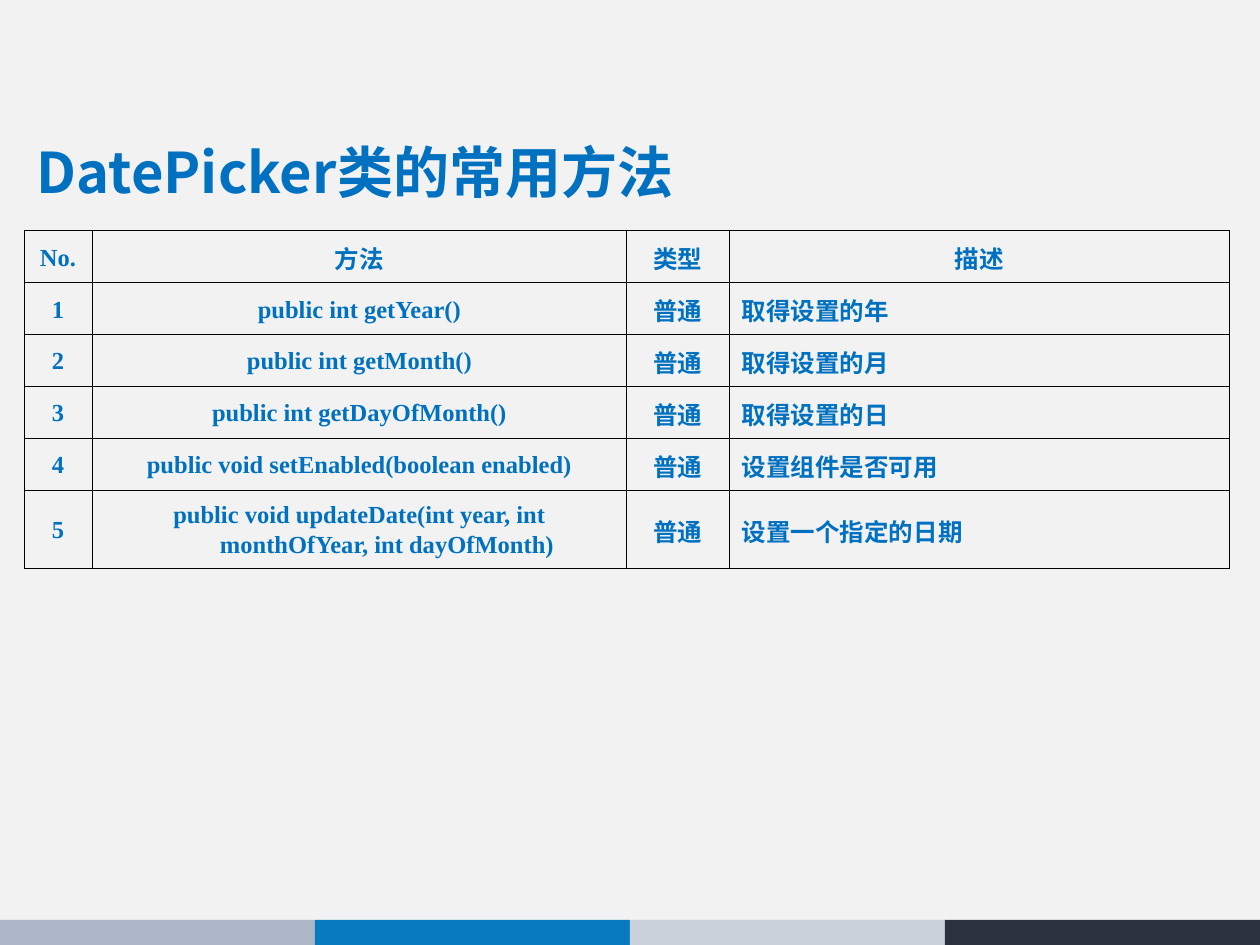
from lxml import etree
from pptx import Presentation
from pptx import util as u
from pptx.dml.color import RGBColor
from pptx.enum import shapes, text
from pptx.oxml.ns import qn

BLUE = RGBColor(0x00, 0x70, 0xC0)
BLACK = RGBColor(0x00, 0x00, 0x00)
PAPER = RGBColor(0xF2, 0xF2, 0xF2)
BAR_COLORS = [
    RGBColor(0xAD, 0xB6, 0xC7),
    RGBColor(0x08, 0x7A, 0xC0),
    RGBColor(0xCB, 0xD1, 0xDB),
    RGBColor(0x2A, 0x32, 0x3E),
]
SANS = "Noto Sans CJK SC"
SERIF = "Times New Roman"
CENTER = text.PP_ALIGN.CENTER
LEFT = text.PP_ALIGN.LEFT
JUSTIFY = text.PP_ALIGN.JUSTIFY

COLUMN_WIDTHS = [39, 305.5, 58.5, 286]
ROW_HEIGHTS = [26] * 5 + [44.6]
HEADER = ["No.", "方法", "类型", "描述"]
METHODS = [
    ("public int getYear()", "取得设置的年"),
    ("public int getMonth()", "取得设置的月"),
    ("public int getDayOfMonth()", "取得设置的日"),
    ("public void setEnabled(boolean enabled)", "设置组件是否可用"),
    ("public void updateDate(int year, int monthOfYear, int dayOfMonth)",
     "设置一个指定的日期"),
]


def write(frame, words, size, font, align, spacing, before=0, hanging=0):
    """Fill a text frame with one bold blue paragraph."""
    para = frame.paragraphs[0]
    para.alignment = align
    para.line_spacing = spacing
    para.space_before = u.Pt(before)
    properties = para._p.get_or_add_pPr()
    properties.set("marL", str(u.Pt(hanging)))
    properties.set("indent", str(-u.Pt(hanging)))
    span = para.add_run()
    span.text = words
    span.font.size = u.Pt(size)
    span.font.name = font
    span.font.bold = True
    span.font.color.rgb = BLUE
    east_asian = etree.SubElement(span._r.get_or_add_rPr(), qn("a:ea"))
    east_asian.set("typeface", SANS)


class SlideBuilder:
    def __init__(self, page):
        self.page = page
        self.border_width = 0.45

    def block(self, left, top, width, height, color):
        box = self.page.shapes.add_shape(
            shapes.MSO_SHAPE.RECTANGLE,
            u.Pt(left), u.Pt(top), u.Pt(width), u.Pt(height))
        box.shadow.inherit = False
        box.fill.solid()
        box.fill.fore_color.rgb = color
        box.line.fill.background()

    def title(self, words, left, top, width, height):
        box = self.page.shapes.title
        box.left, box.top = u.Pt(left), u.Pt(top)
        box.width, box.height = u.Pt(width), u.Pt(height)
        frame = box.text_frame
        frame.word_wrap = True
        frame.auto_size = text.MSO_AUTO_SIZE.NONE
        frame.vertical_anchor = text.MSO_ANCHOR.MIDDLE
        write(frame, words, size=32, font=SANS, align=LEFT, spacing=0.9)
        # Bring the title in front of the backdrop
        self.page.shapes._spTree.append(box._element)

    def border(self, cell):
        properties = cell._tc.get_or_add_tcPr()
        for position, side in enumerate(("lnL", "lnR", "lnT", "lnB")):
            line = etree.Element(qn("a:" + side), w=str(u.Pt(self.border_width)))
            fill = etree.SubElement(line, qn("a:solidFill"))
            etree.SubElement(fill, qn("a:srgbClr"), val=str(BLACK))
            properties.insert(position, line)

    def table(self, rows, left, top):
        frame = self.page.shapes.add_table(
            len(rows), len(COLUMN_WIDTHS), u.Pt(left), u.Pt(top),
            u.Pt(sum(COLUMN_WIDTHS)), u.Pt(sum(ROW_HEIGHTS)))
        grid = frame.table
        grid.first_row = grid.horz_banding = False
        for column, width in zip(grid.columns, COLUMN_WIDTHS):
            column.width = u.Pt(width)
        for r, (row, height) in enumerate(zip(rows, ROW_HEIGHTS)):
            grid.rows[r].height = u.Pt(height)
            for c, words in enumerate(row):
                cell = grid.cell(r, c)
                cell.fill.background()
                cell.vertical_anchor = text.MSO_ANCHOR.MIDDLE
                self.border(cell)
                is_description = r > 0 and c == len(row) - 1
                write(cell.text_frame, words, size=14, font=SERIF,
                      align=JUSTIFY if is_description else CENTER,
                      spacing=1.1, before=12, hanging=31.5)


def main():
    deck = Presentation()
    deck.slide_width, deck.slide_height = u.Pt(720), u.Pt(540)
    page = deck.slides.add_slide(deck.slide_layouts[5])
    builder = SlideBuilder(page)

    # Backdrop and footer bars
    builder.block(0, 0, 720, 540, PAPER)
    bar_width = 720 / len(BAR_COLORS)
    for index, color in enumerate(BAR_COLORS):
        builder.block(index * bar_width, 525.6, bar_width, 14.4, color)

    # Title
    builder.title("DatePicker类的常用方法", 13.7, 69, 689, 62)

    # Method table
    rows = [HEADER] + [
        (str(number), method, "普通", description)
        for number, (method, description) in enumerate(METHODS, 1)
    ]
    builder.table(rows, 13.7, 131.7)

    deck.save("out.pptx")


if __name__ == "__main__":
    main()
